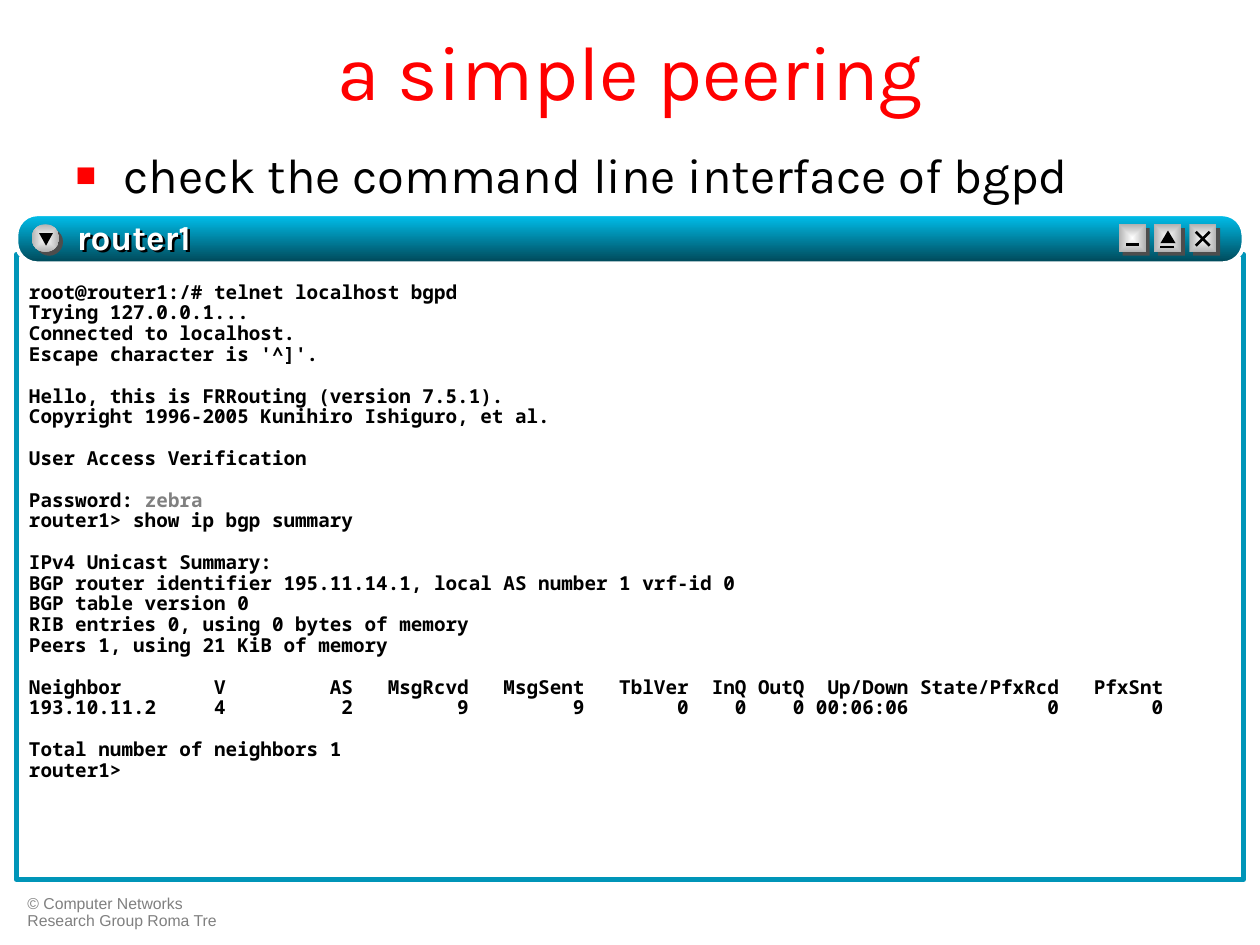
"""Build a slide that shows a router terminal window."""
from dataclasses import dataclass
from typing import NamedTuple

from lxml import etree
from pptx import Presentation
from pptx.dml.color import RGBColor
from pptx.enum.shapes import MSO_CONNECTOR, MSO_SHAPE
from pptx.enum.text import MSO_ANCHOR, MSO_AUTO_SIZE, PP_ALIGN
from pptx.oxml.ns import qn
from pptx.util import Inches, Pt

RECT, ROUND = MSO_SHAPE.RECTANGLE, MSO_SHAPE.ROUNDED_RECTANGLE
OVAL, TRI = MSO_SHAPE.OVAL, MSO_SHAPE.ISOSCELES_TRIANGLE
LINE = MSO_CONNECTOR.STRAIGHT
TOP, MIDDLE = MSO_ANCHOR.TOP, MSO_ANCHOR.MIDDLE
LEFT, CENTER = PP_ALIGN.LEFT, PP_ALIGN.CENTER
FIXED = MSO_AUTO_SIZE.NONE
WIDE, HIGH = Inches(10), Inches(7.5)
COLS, ROWS = 100, 75


class Theme(NamedTuple):
    """Colours, fonts and type sizes of the slide."""
    red: str = "FF0000"
    black: str = "000000"
    white: str = "FFFFFF"
    grey: str = "808080"
    silver: str = "B2B2B2"
    shade: str = "4D4D4D"
    frame: str = "0095B8"
    light: str = "00C1EE"
    deep: str = "004656"
    sans: str = "Karla"
    mono: str = "Noto Sans Mono"
    plain: str = "Arial"
    title: float = 44
    body: float = 28
    bar: float = 20
    code: float = 11
    pitch: float = 11.88
    foot: float = 9


@dataclass(frozen=True)
class Box:
    """A place on the grid, in columns and rows."""
    x: float
    y: float
    w: float
    h: float

    def lengths(self) -> tuple:
        """Return left, top, width and height as slide lengths."""
        return col(self.x), row(self.y), col(self.w), row(self.h)


@dataclass(frozen=True)
class Button:
    """A window button with strokes and an optional arrow, from its corner."""
    box: Box
    kind: int = RECT
    strokes: tuple = ()
    arrow: Box | None = None
    down: bool = False


T = Theme()
FIRST, STEP, EDGE = 88.8, 2.8, 17.8
SIDE, DROP = 2.15, 0.3
BUTTONS = (
    Button(Box(2.5, EDGE, 2.2, 2.2), OVAL, arrow=Box(0.6, 0.7, 1.1, 1), down=True),
    Button(Box(FIRST, EDGE, SIDE, 2.2), strokes=((0.6, 1.6, 1.6, 1.6),)),
    Button(Box(FIRST + STEP, EDGE, SIDE, 2.2), strokes=((0.5, 1.8, 1.6, 1.8),),
           arrow=Box(0.5, 0.5, 1.2, 1)),
    Button(Box(FIRST + 2 * STEP, EDGE, SIDE, 2.2),
           strokes=((0.5, 1.7, 1.6, 0.6), (0.5, 0.6, 1.6, 1.7))),
)
SECRET = "zebra"
SESSION = """\
root@router1:/# telnet localhost bgpd
Trying 127.0.0.1...
Connected to localhost.
Escape character is '^]'.

Hello, this is FRRouting (version 7.5.1).
Copyright 1996-2005 Kunihiro Ishiguro, et al.

User Access Verification

Password: zebra
router1> show ip bgp summary

IPv4 Unicast Summary:
BGP router identifier 195.11.14.1, local AS number 1 vrf-id 0
BGP table version 0
RIB entries 0, using 0 bytes of memory
Peers 1, using 21 KiB of memory

Neighbor        V         AS   MsgRcvd   MsgSent   TblVer  InQ OutQ  Up/Down State/PfxRcd   PfxSnt
193.10.11.2     4          2         9         9        0    0    0 00:06:06            0        0

Total number of neighbors 1
router1>"""


def col(n: float) -> int:
    """Turn columns into a length."""
    return round(WIDE * n / COLS)


def row(n: float) -> int:
    """Turn rows into a length."""
    return round(HIGH * n / ROWS)


def rgb(code: str) -> RGBColor:
    """Turn a hex code into a colour."""
    return RGBColor.from_string(code)


def style(part, face: str, size: float, hue: str, bold: bool = False) -> None:
    """Set the font of a paragraph or run."""
    font = part.font
    font.name, font.size, font.bold = face, Pt(size), bold
    font.color.rgb = rgb(hue)


def place(shape, box: Box) -> None:
    """Move a placeholder to a box."""
    shape.left, shape.top, shape.width, shape.height = box.lengths()


def frame(shape, pad: tuple = (1, 0.5), anchor=TOP):
    """Set up a text frame and return it."""
    text = shape.text_frame
    text.word_wrap, text.auto_size = True, FIXED
    text.vertical_anchor = anchor
    text.margin_left = text.margin_right = col(pad[0])
    text.margin_top = text.margin_bottom = row(pad[1])
    return text


def solid(shapes, kind: int, box: Box, hue: str | None = None):
    """Draw a shape with a plain fill or none, and no outline."""
    shape = shapes.add_shape(kind, *box.lengths())
    shape.shadow.inherit = False
    shape.line.fill.background()
    if hue:
        shape.fill.solid()
        shape.fill.fore_color.rgb = rgb(hue)
    else:
        shape.fill.background()
    return shape


def blend(shape, start: str, end: str, inward: bool = False) -> None:
    """Fill a shape with a gradient, downwards or from the centre."""
    fill = shape.fill
    fill.gradient()
    fill.gradient_angle = 270
    for stop, hue, spot in zip(fill.gradient_stops, (start, end), (0, 1)):
        stop.color.rgb, stop.position = rgb(hue), spot
    if inward:
        grad = shape._element.spPr.find(qn("a:gradFill"))
        grad.remove(grad.find(qn("a:lin")))
        way = etree.SubElement(grad, qn("a:path"), {"path": "rect"})
        mid = dict.fromkeys("ltrb", "50000")
        etree.SubElement(way, qn("a:fillToRect"), mid)


def stroke(shapes, x: float, y: float, ends: tuple) -> None:
    """Draw a black line from a corner's offset ends."""
    a, b, c, d = ends
    line = shapes.add_connector(LINE, col(x + a), row(y + b), col(x + c), row(y + d))
    line.line.color.rgb, line.line.width = rgb(T.black), Pt(1.5)
    etree.SubElement(line._element.spPr, qn("a:effectLst"))


def draw(shapes, button: Button) -> None:
    """Draw a window button with its shade and sign."""
    box = button.box
    solid(shapes, button.kind, Box(box.x + DROP, box.y + DROP, box.w, box.h), T.shade)
    blend(solid(shapes, button.kind, box), T.white, T.silver, inward=True)
    for ends in button.strokes:
        stroke(shapes, box.x, box.y, ends)
    if button.arrow:
        sign = button.arrow
        spot = Box(box.x + sign.x, box.y + sign.y, sign.w, sign.h)
        arrow = solid(shapes, TRI, spot, T.black)
        arrow.rotation = 180 if button.down else 0


def heads(slide) -> None:
    """Fill the title and the bullet list."""
    title, body = slide.placeholders
    place(title, Box(5, 1.3, 90, 8.5))
    line = frame(title, anchor=MIDDLE).paragraphs[0]
    line.text, line.alignment = "a simple peering", CENTER
    style(line, T.sans, T.title, T.red)
    place(body, Box(5, 11.5, 90, 55.5))
    item = frame(body).paragraphs[0]
    item.text, item.line_spacing, item.space_before = (
        "check the command line interface of bgpd", 0.9, Pt(0))
    props = item._p.get_or_add_pPr()
    props.set("marL", str(col(3.8)))
    props.set("indent", str(-col(3.8)))
    tint = etree.SubElement(props, qn("a:buClr"))
    etree.SubElement(tint, qn("a:srgbClr"), {"val": T.red})
    etree.SubElement(props, qn("a:buSzPct"), {"val": "70000"})
    etree.SubElement(props, qn("a:buChar"), {"char": "■"})
    style(item, T.sans, T.body, T.black)


def screen(shapes) -> None:
    """Write the terminal session."""
    text = frame(shapes.add_textbox(*Box(1.5, 22, 97.1, 47.8).lengths()), (0.8, 0.4))
    for i, words in enumerate(SESSION.splitlines()):
        line = text.paragraphs[0] if i == 0 else text.add_paragraph()
        line.line_spacing = Pt(T.pitch)
        style(line, T.mono, T.code, T.black, True)
        lead, key, _ = words.partition(SECRET)
        for part, hue in ((lead, T.black), (key, T.grey)):
            if part:
                run = line.add_run()
                run.text, run.font.color.rgb = part, rgb(hue)


def label(shapes, box: Box, words: str, pad: tuple, anchor, look: tuple) -> None:
    """Write a single paragraph in a text box."""
    line = frame(shapes.add_textbox(*box.lengths()), pad, anchor).paragraphs[0]
    line.text, line.alignment, line.line_spacing = words, LEFT, 0.9
    style(line, *look)


def main() -> None:
    """Build and save the slide."""
    deck = Presentation()
    deck.slide_width, deck.slide_height = WIDE, HIGH
    slide = deck.slides.add_slide(deck.slide_layouts[1])
    shapes = slide.shapes
    label(shapes, Box(1.2, 70.6, 17.3, 3.6), "© Computer Networks Research Group Roma Tre",
          (1, 0.5), TOP, (T.plain, T.foot, T.grey))
    heads(slide)
    pane = solid(shapes, RECT, Box(1.3, 20.2, 97.4, 49.6))
    pane.line.color.rgb, pane.line.width = rgb(T.frame), Pt(3)
    screen(shapes)
    bar = solid(shapes, ROUND, Box(1.3, 17, 97.4, 3.9))
    bar.adjustments[0] = 0.43
    blend(bar, T.light, T.deep)
    bar.line.color.rgb, bar.line.width = rgb(T.white), Pt(2.25)
    for button in BUTTONS:
        draw(shapes, button)
    for shift, hue in ((0.2, T.black), (0, T.white)):
        label(shapes, Box(6.1 + shift, 17 + shift, 26.4, 3.9), "router1", (0, 0),
              MIDDLE, (T.sans, T.bar, hue, True))
    deck.save("out.pptx")


if __name__ == "__main__":
    main()
